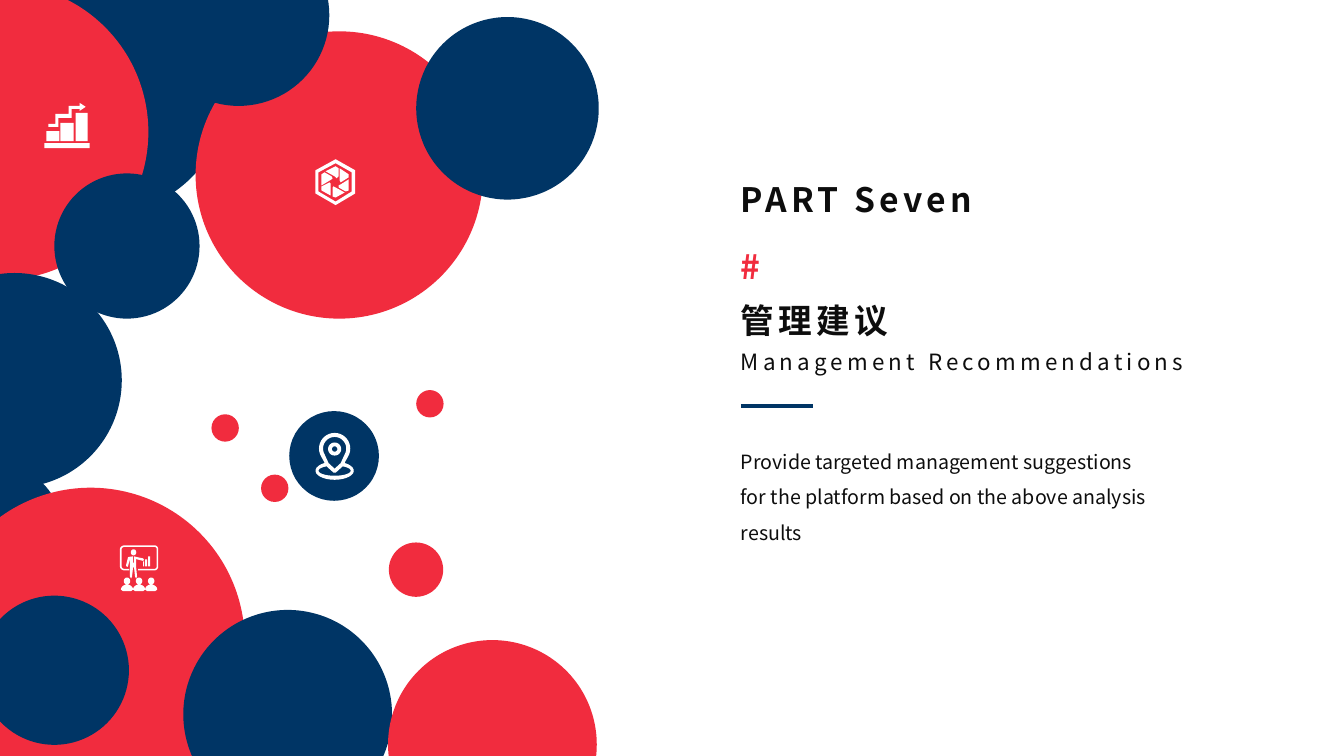
from math import cos, radians, sin

from pptx import Presentation
from pptx.dml.color import RGBColor
from pptx.enum.shapes import MSO_CONNECTOR, MSO_SHAPE
from pptx.enum.text import MSO_AUTO_SIZE
from pptx.oxml.ns import qn
from pptx.util import Cm, Pt

OVAL = MSO_SHAPE.OVAL
STRAIGHT = MSO_CONNECTOR.STRAIGHT
FIT_SHAPE = MSO_AUTO_SIZE.SHAPE_TO_FIT_TEXT

COLOURS = {"navy": "003565", "red": "F12C3E", "ink": "0D0D0D", "white": "FFFFFF"}
FONT = "Noto Sans CJK SC"
ICON_UNIT = 0.0254
TEXT_LEFT = 18.42

CIRCLES = [
    (-0.51, -0.86, 6.25, "navy"),
    (-3.73, -0.41, 7.47, "red"),
    (1.37, 4.37, 3.66, "navy"),
    (-2.34, 6.88, 5.41, "navy"),
    (4.93, 0.79, 7.24, "red"),
    (3.73, -1.9, 4.57, "navy"),
    (-1.6, 11.73, 3.15, "navy"),
    (-1.6, 12.29, 7.77, "red"),
    (-0.51, 15.01, 3.76, "navy"),
    (4.62, 15.37, 5.26, "navy"),
    (9.78, 16.13, 5.26, "red"),
    (7.29, 10.36, 2.26, "navy"),
    (6.58, 11.96, 0.69, "red"),
    (5.33, 10.44, 0.69, "red"),
    (10.49, 9.83, 0.69, "red"),
    (9.8, 13.67, 1.37, "red"),
    (10.49, 0.43, 4.6, "navy"),
]


def arc(x, y, rx, ry, start, end, steps=24):
    angles = [radians(start + (end - start) * i / steps) for i in range(steps + 1)]
    return [(x + rx * cos(a), y + ry * sin(a)) for a in angles]


def ring(x, y, rx, ry):
    return arc(x, y, rx, ry, 0, 360)


def rectangle(left, top, right, bottom):
    return [(left, top), (right, top), (right, bottom), (left, bottom)]


def presenter_icon():
    board = (
        arc(153, 545, 4, 4, -90, 0) + arc(153, 562, 4, 4, 0, 90)
        + [(137, 566), (137, 564.5)]
        + arc(153, 562, 2.5, 2.5, 90, 0) + arc(153, 545, 2.5, 2.5, 0, -90)
        + arc(124, 545, 3.3, 2.5, 270, 180) + arc(124, 562, 3.3, 2.5, 180, 90)
        + [(128, 564.5), (128, 566)]
        + arc(124, 562, 5, 4, 90, 180) + arc(124, 545, 5, 4, 180, 270)
    )
    body = [
        (132, 552), (132, 558), (132.5, 559), (133, 558), (133, 552), (137, 553),
        (142, 554), (143, 555.5), (142, 556.5), (136, 555), (135, 554), (135, 562),
        (136, 572), (135, 574), (134, 572), (133, 563), (132, 563), (131, 572),
        (130, 574), (129, 572), (129, 554), (127, 562), (126, 562.5), (125, 561),
        (127, 553), (128, 552.5),
    ]
    bars = [
        rectangle(142, 557, 143, 562),
        rectangle(144, 555, 146, 562),
        rectangle(147, 552, 149, 562),
    ]
    audience = []
    for x in (126, 138, 150):
        audience.append(ring(x, 576.5, 3.2, 3.5))
        audience.append(arc(x, 585, 6, 5, 180, 360) + [(x + 4, 586.5), (x - 4, 586.5)])
    return [board, body, ring(132.5, 548, 2.7, 3)] + bars + audience


def growth_icon():
    arrow = [
        (79, 102), (85, 106), (79, 110), (79, 108), (71, 108), (71, 117), (58, 117),
        (58, 126), (48, 126), (48, 123), (55, 123), (55, 113), (68, 113), (68, 105),
        (79, 105),
    ]
    return [
        rectangle(44, 142, 89, 147),
        rectangle(46, 130, 59, 140),
        rectangle(60, 122, 73, 140),
        rectangle(75, 112, 87, 140),
        arrow,
    ]


def shutter_icon():
    return [
        [(333, 158), (352.5, 169), (352.5, 192), (333, 203.5), (313, 192), (313, 169)],
        [(333, 162), (316, 171), (316, 190), (333, 200), (349, 190), (349, 171)],
        [(331, 185), (342, 191), (333, 196), (330, 195), (330, 186)],
        [(327, 181), (328, 182), (328, 194), (319, 189), (319, 185)],
        [(346, 178), (346, 189), (343, 190), (336, 186), (336, 184), (338, 183)],
        [(322, 171), (329, 175), (330, 177), (329, 178), (319, 184), (319, 173)],
        [(337, 167), (346, 173), (346, 176), (338, 181), (337, 179)],
        [(333, 165), (336, 167), (336, 175), (334, 177), (332, 175), (323, 170)],
    ]


def pin_icon():
    outline = (
        arc(332, 445, 15.5, 15.5, 150, 390) + [(342, 459)]
        + arc(332, 467, 19, 9, -57, 237) + [(322, 459)]
    )
    base = arc(332, 467, 16, 5, -60, 240) + [(331, 469), (333, 469)]
    drop = arc(332, 445, 11.5, 11.5, 160, 380) + [(338, 459.5), (332, 465), (326, 459.5)]
    return [outline, base, drop, ring(332, 445.5, 6.5, 6.5), ring(332, 445.5, 2.7, 2.7)]


class SlideBuilder:
    def __init__(self, page):
        self.page = page

    def colour(self, name):
        return RGBColor.from_string(COLOURS[name])

    def paint(self, shape, fill):
        shape.shadow.inherit = False
        shape.fill.solid()
        shape.fill.fore_color.rgb = self.colour(fill)
        shape.line.fill.background()

    def circle(self, left, top, size, fill):
        shape = self.page.shapes.add_shape(OVAL, Cm(left), Cm(top), Cm(size), Cm(size))
        self.paint(shape, fill)

    def icon(self, outlines):
        contours = [
            [(Cm(x * ICON_UNIT), Cm(y * ICON_UNIT)) for x, y in outline]
            for outline in outlines
        ]
        builder = self.page.shapes.build_freeform(*contours[0][0])
        builder.add_line_segments(contours[0][1:], close=True)
        for contour in contours[1:]:
            builder.move_to(*contour[0])
            builder.add_line_segments(contour[1:], close=True)
        self.paint(builder.convert_to_shape(), "white")

    def rule(self, left, right, top):
        line = self.page.shapes.add_connector(STRAIGHT, Cm(left), Cm(top), Cm(right), Cm(top))
        line.line.color.rgb = self.colour("navy")
        line.line.width = Pt(3)
        properties = line._element.spPr
        properties.append(properties.makeelement(qn("a:effectLst"), {}))

    def text(self, top, width, height, lines, size, colour="ink", bold=False,
             tracking=0, spacing=1.0, wrap=False):
        box = self.page.shapes.add_textbox(Cm(TEXT_LEFT), Cm(top), Cm(width), Cm(height))
        frame = box.text_frame
        frame.word_wrap = wrap
        frame.auto_size = FIT_SHAPE
        frame.text = "\n".join(lines)
        for para in frame.paragraphs:
            para.line_spacing = spacing
            para.font.size = Pt(size)
            para.font.bold = bold
            para.font.color.rgb = self.colour(colour)
            para.font.name = FONT
            style = para._p.pPr.find(qn("a:defRPr"))
            style.set("spc", str(tracking * 100))
            style.append(style.makeelement(qn("a:ea"), {"typeface": FONT}))


def main():
    deck = Presentation()
    deck.slide_width, deck.slide_height = Cm(33.87), Cm(19.05)
    slide = SlideBuilder(deck.slides.add_slide(deck.slide_layouts[6]))
    for circle in CIRCLES:
        slide.circle(*circle)
    for outlines in (presenter_icon(), growth_icon(), shutter_icon(), pin_icon()):
        slide.icon(outlines)
    slide.text(7.44, 4.37, 1.27, ["管理建议"], 24, bold=True, tracking=3)
    slide.text(8.66, 12.22, 0.94, ["Management Recommendations"], 16, tracking=3)
    slide.text(4.39, 6.65, 1.27, ["PART Seven"], 24, bold=True, tracking=3)
    slide.text(6.07, 1.17, 1.27, ["#"], 24, colour="red", bold=True, tracking=3)
    slide.rule(18.67, 20.5, 10.24)
    slide.text(10.92, 14.86, 2.84, [
        "Provide targeted management suggestions",
        "for the platform based on the above analysis",
        "results",
    ], 14, spacing=1.5, wrap=True)
    deck.save("out.pptx")


if __name__ == "__main__":
    main()
